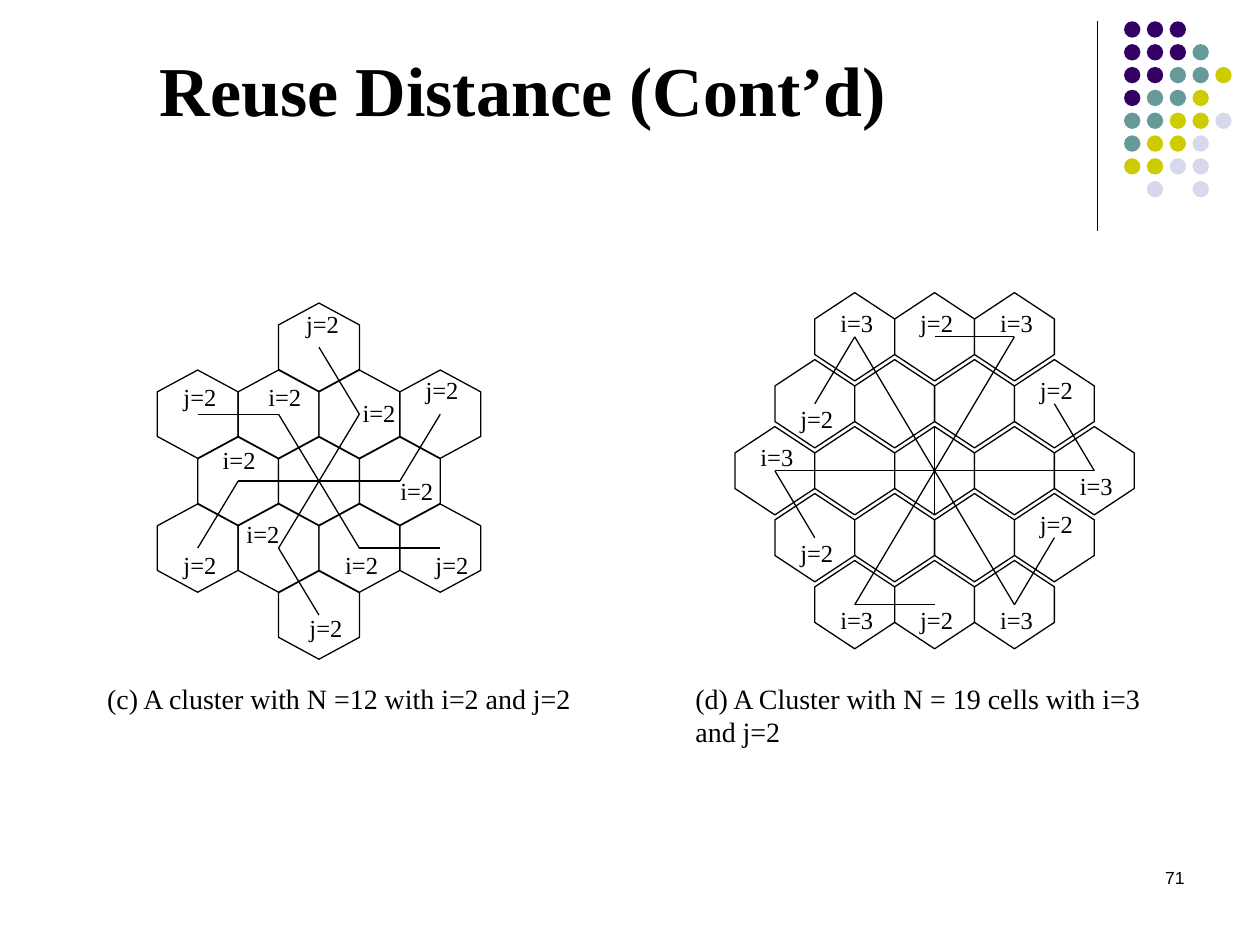
from pptx import Presentation
from pptx.dml.color import RGBColor
from pptx.enum.shapes import MSO_CONNECTOR, MSO_SHAPE
from pptx.enum.text import MSO_ANCHOR, MSO_AUTO_SIZE, PP_ALIGN
from pptx.oxml.ns import qn
from pptx.util import Cm, Pt
from lxml import etree

BLACK = RGBColor(0x00, 0x00, 0x00)
WHITE = RGBColor(0xFF, 0xFF, 0xFF)
PURPLE = RGBColor(0x33, 0x00, 0x66)
TEAL = RGBColor(0x66, 0x99, 0x99)
OLIVE = RGBColor(0xCC, 0xCC, 0x00)
LILAC = RGBColor(0xD8, 0xD8, 0xEC)
LEFT, RIGHT = PP_ALIGN.LEFT, PP_ALIGN.RIGHT
BOTTOM = MSO_ANCHOR.BOTTOM
FIXED = MSO_AUTO_SIZE.NONE
HEXAGON, OVAL = MSO_SHAPE.HEXAGON, MSO_SHAPE.OVAL
STRAIGHT = MSO_CONNECTOR.STRAIGHT
SERIF, SANS = "Times New Roman", "Arial"

DOTS = ["PPP", "PPPT", "PPTTY", "PTTY", "TTYYL", "TYYL", "YYLL", "-L-L"]
HUES = {"P": PURPLE, "T": TEAL, "Y": OLIVE, "L": LILAC}
HEIGHT = 1.78
ROW = 1.35


class Deck:
    def __init__(self, slide):
        self.slide = slide
        self.shapes = slide.shapes

    def style(self, para, text, size, font=SERIF, align=LEFT, bold=False):
        para.text = text
        para.alignment = align
        para.font.name = font
        para.font.size = Pt(size)
        para.font.bold = bold
        para.font.color.rgb = BLACK

    def title(self, text, x, y, w, h):
        box = self.shapes.title
        box.left, box.top, box.width, box.height = Cm(x), Cm(y), Cm(w), Cm(h)
        frame = box.text_frame
        frame.auto_size = FIXED
        frame.vertical_anchor = BOTTOM
        self.style(frame.paragraphs[0], text, 40, bold=True)

    def text(self, text, x, y, w, h, size, font=SERIF, align=LEFT):
        box = self.shapes.add_textbox(Cm(x), Cm(y), Cm(w), Cm(h))
        box.text_frame.word_wrap = True
        self.style(box.text_frame.paragraphs[0], text, size, font, align)

    def label(self, text, x, y):
        self.text(text, x, y, 1.63, 0.84, 14)

    def line(self, x1, y1, x2, y2):
        line = self.shapes.add_connector(STRAIGHT, Cm(x1), Cm(y1), Cm(x2), Cm(y2))
        line.line.color.rgb = BLACK
        line.line.width = Pt(0.75)
        etree.SubElement(line._element.spPr, qn("a:effectLst"))

    def dot(self, x, y, hue):
        dot = self.shapes.add_shape(OVAL, Cm(x), Cm(y), Cm(0.33), Cm(0.33))
        dot.shadow.inherit = False
        dot.fill.solid()
        dot.fill.fore_color.rgb = hue
        dot.line.fill.background()

    def cell(self, x, y, width, slant):
        cell = self.shapes.add_shape(
            HEXAGON, Cm(x - HEIGHT / 2), Cm(y - width / 2), Cm(HEIGHT), Cm(width))
        cell.rotation = 90
        cell.adjustments[0] = slant
        cell.shadow.inherit = False
        cell.fill.solid()
        cell.fill.fore_color.rgb = WHITE
        cell.line.color.rgb = BLACK
        cell.line.width = Pt(0.75)

    def cluster(self, x, y, width, slant, rows, arms):
        half = width / 2
        for row, cols in enumerate(rows, -2):
            for col in cols:
                self.cell(x + col * half, y + row * ROW, width, slant)
        for turn, end in arms:
            stops = [(x + c * half, y + r * ROW) for c, r in ((0, 0), turn, end)]
            for start, stop in zip(stops, stops[1:]):
                self.line(*start, *stop)


def main():
    deck = Presentation()
    deck.slide_width, deck.slide_height = Cm(25.4), Cm(19.05)
    page = Deck(deck.slides.add_slide(deck.slide_layouts[5]))

    page.line(22.12, 0.43, 22.12, 4.65)
    for row, keys in enumerate(DOTS):
        for col, key in enumerate(keys):
            if key in HUES:
                page.dot(22.66 + 0.46 * col, 0.43 + 0.46 * row, HUES[key])

    page.title("Reuse Distance (Cont’d)", 2.97, 0.64, 21.64, 2.11)
    page.text("71", 18.21, 17.35, 5.92, 1.27, 10, SANS, RIGHT)
    page.text("(c) A cluster with N =12 with i=2 and j=2", 1.91, 13.61, 11.43, 0.94, 16)
    page.text("(d) A Cluster with N = 19 cells with i=3 and j=2",
              13.77, 13.61, 9.96, 1.63, 16)

    wide = (-3, -1, 1, 3)
    mid_x, mid_y, width = 18.84, 9.49, 1.61
    rows = [(-2, 0, 2), wide, (-4, -2, 0, 2, 4), wide, (-2, 0, 2)]
    arms = [((4, 0), (3, -1)), ((2, 2), (3, 1)), ((-2, 2), (0, 2)),
            ((-4, 0), (-3, 1)), ((-2, -2), (-3, -1)), ((2, -2), (0, -2))]
    page.cluster(mid_x, mid_y, width, 0.33, rows, arms)
    page.line(mid_x, mid_y - HEIGHT / 2, mid_x, mid_y + HEIGHT / 2)
    high = {(-2, -2), (0, -2), (2, -2), (3, -1), (-4, 0), (3, 1)}
    for arm in arms:
        for text, spot in zip(("i=3", "j=2"), arm):
            col, row = spot
            shift = -0.7 if spot in high else -0.12
            page.label(text, mid_x + col * width / 2 - 0.54, mid_y + row * ROW + shift)

    rows = [(0,), wide, (-2, 0, 2), wide, (0,)]
    arms = [((2, 0), (3, -1)), ((1, 1), (3, 1)), ((-1, 1), (0, 2)),
            ((-2, 0), (-3, 1)), ((-1, -1), (-3, -1)), ((1, -1), (0, -2))]
    page.cluster(6.43, 9.7, 1.63, 0.27, rows, arms)
    spots = {
        "j=2": [(8.33, 7.44), (5.92, 6.1), (3.45, 7.57),
                (8.53, 10.97), (3.45, 10.97), (5.99, 12.24)],
        "i=2": [(5.16, 7.57), (4.24, 8.84), (4.72, 10.34),
                (6.71, 10.97), (7.82, 9.47), (7.06, 7.9)],
    }
    for text, places in spots.items():
        for x, y in places:
            page.label(text, x, y)

    deck.save("out.pptx")


if __name__ == "__main__":
    main()
